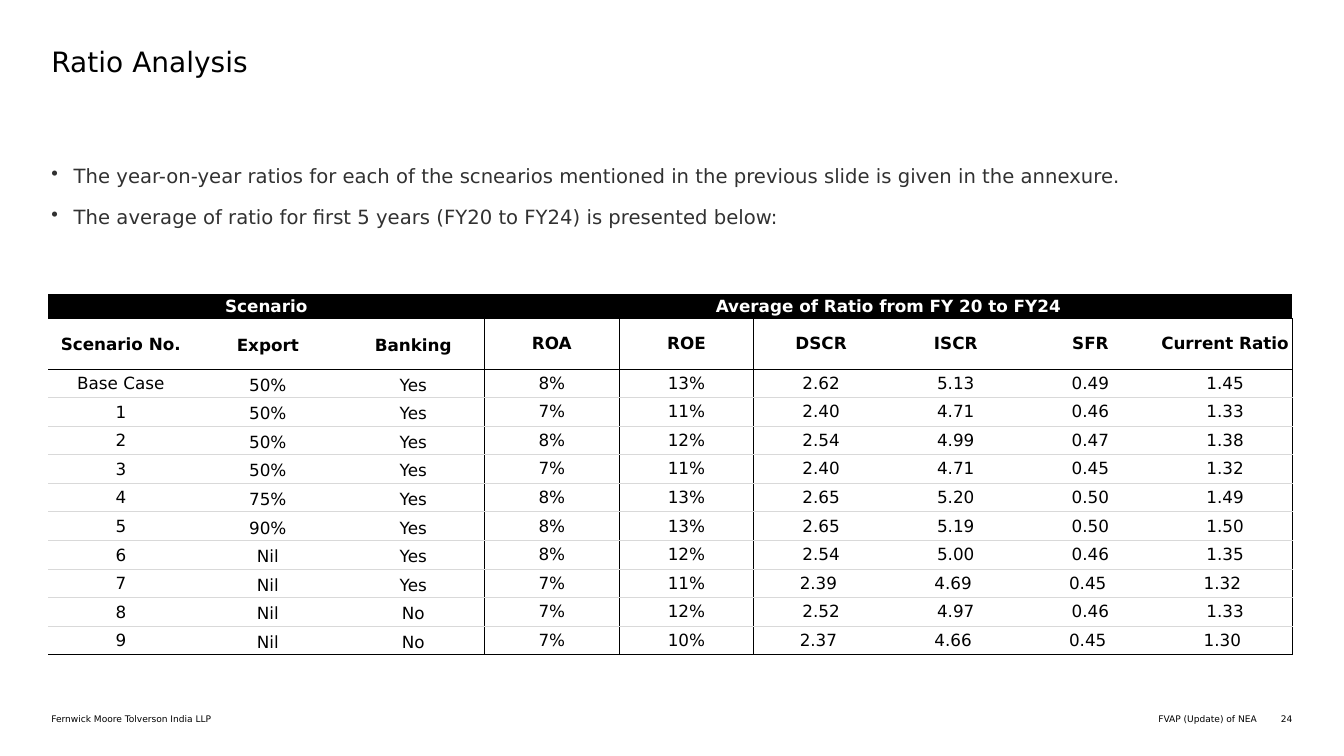
from dataclasses import dataclass

from lxml.etree import SubElement
from pptx import Presentation
from pptx.dml.color import RGBColor
from pptx.enum.text import MSO_ANCHOR, PP_ALIGN
from pptx.oxml.ns import qn
from pptx.util import Pt


@dataclass(frozen=True)
class Theme:
    font: str = "DejaVu Sans"
    black: str = "000000"
    white: str = "FFFFFF"
    body_grey: str = "313131"
    rule_grey: str = "D9D9D9"
    title_size: float = 20
    body_size: float = 14
    table_size: float = 12
    footer_size: float = 6.5


THEME = Theme()
NO_STYLE_TABLE = "{2D5ABB26-0587-4C30-8999-92F81FD0307C}"

BULLETS = [
    "The year-on-year ratios for each of the scnearios mentioned in the previous slide is given in the annexure.",
    "The average of ratio for first 5 years (FY20 to FY24) is presented below:",
]
GROUPS = [("Scenario", 0, 2), ("Average of Ratio from FY 20 to FY24", 3, 8)]
RATIO_ROWS = [
    ["Scenario No.", "Export", "Banking", "ROA", "ROE", "DSCR", "ISCR", "SFR", "Current Ratio"],
    ["Base Case", "50%", "Yes", "8%", "13%", "2.62", "5.13", "0.49", "1.45"],
    ["1", "50%", "Yes", "7%", "11%", "2.40", "4.71", "0.46", "1.33"],
    ["2", "50%", "Yes", "8%", "12%", "2.54", "4.99", "0.47", "1.38"],
    ["3", "50%", "Yes", "7%", "11%", "2.40", "4.71", "0.45", "1.32"],
    ["4", "75%", "Yes", "8%", "13%", "2.65", "5.20", "0.50", "1.49"],
    ["5", "90%", "Yes", "8%", "13%", "2.65", "5.19", "0.50", "1.50"],
    ["6", "Nil", "Yes", "8%", "12%", "2.54", "5.00", "0.46", "1.35"],
    ["7", "Nil", "Yes", "7%", "11%", "2.39 ", "4.69 ", "0.45 ", "1.32 "],
    ["8", "Nil", "No", "7%", "12%", "2.52", "4.97", "0.46", "1.33"],
    ["9", "Nil", "No", "7%", "10%", "2.37 ", "4.66 ", "0.45 ", "1.30 "],
]
COLUMN_WIDTHS = [103.9] * 3 + [96.2] * 6
ROW_HEIGHTS = [17.6, 36] + [20.4] * 10
LAST_ROW = len(ROW_HEIGHTS) - 1
LAST_COLUMN = len(COLUMN_WIDTHS) - 1
RULED_COLUMNS = (2, 3, LAST_COLUMN)  # columns with a vertical rule on their right


def set_attributes(target, values):
    for name, value in values.items():
        setattr(target, name, value)


def style_font(font, size, color, bold=False):
    set_attributes(font, {"name": THEME.font, "size": Pt(size), "bold": bold})
    font.color.rgb = RGBColor.from_string(color)


def set_margins(frame, left=0, top=0, right=0, bottom=0):
    set_attributes(frame, {
        "margin_left": Pt(left), "margin_top": Pt(top),
        "margin_right": Pt(right), "margin_bottom": Pt(bottom),
    })


def add_bullet(para):
    properties = para._p.get_or_add_pPr()
    properties.set("marL", str(Pt(16)))
    properties.set("indent", str(-Pt(16)))
    SubElement(properties, qn("a:buChar"), char="•")
    para.space_after = Pt(12)


def add_text(slide, place, lines, size, color=THEME.black, align=PP_ALIGN.LEFT, bulleted=False):
    box = slide.shapes.add_textbox(*map(Pt, place))
    frame = box.text_frame
    frame.word_wrap = True
    set_margins(frame)
    frame.text = "\n".join(lines)
    for para in frame.paragraphs:
        if bulleted:
            add_bullet(para)
        para.alignment = align
        for span in para.runs:
            style_font(span.font, size, color)


def row_rule(row):
    """Colour and width of the rule under a row."""
    if row < 2:
        return THEME.black, 1
    return (THEME.black if row == LAST_ROW else THEME.rule_grey), 0.75


def cell_borders(row, column):
    borders = {}
    if row > 0 and column - 1 in RULED_COLUMNS:
        borders["L"] = (THEME.black, 1)
    if column in RULED_COLUMNS and (row > 0 or column == LAST_COLUMN):
        borders["R"] = (THEME.black, 1)
    if row > 0:
        borders["T"] = row_rule(row - 1)
    borders["B"] = row_rule(row)
    return borders


def draw_borders(cell, row, column):
    properties = cell._tc.get_or_add_tcPr()
    for side, (color, width) in cell_borders(row, column).items():
        line = SubElement(properties, qn(f"a:ln{side}"), w=str(Pt(width)))
        SubElement(SubElement(line, qn("a:solidFill")), qn("a:srgbClr"), val=color)
        dash = "sysDash" if row == 0 and side == "R" else "solid"
        SubElement(line, qn("a:prstDash"), val=dash)


def format_cell(cell, row, column):
    draw_borders(cell, row, column)
    cell.fill.solid()
    cell.fill.fore_color.rgb = RGBColor.from_string(THEME.white if row else THEME.black)
    cell.vertical_anchor = MSO_ANCHOR.MIDDLE
    if row == 0 or column == 0:
        set_margins(cell, 0.72, 0.72, 0.72)
    elif column < 3:
        set_margins(cell, 2.88, 2.88, 0.72)
    else:
        set_margins(cell)
    para = cell.text_frame.paragraphs[0]
    para.alignment = PP_ALIGN.CENTER
    style_font(para.font, THEME.table_size, THEME.black if row else THEME.white, row < 2)
    for span in para.runs:
        style_font(span.font, THEME.table_size, THEME.black if row else THEME.white, row < 2)


def add_ratio_table(slide):
    frame = slide.shapes.add_table(
        len(ROW_HEIGHTS), len(COLUMN_WIDTHS), Pt(34.4), Pt(210.2),
        Pt(sum(COLUMN_WIDTHS)), Pt(sum(ROW_HEIGHTS)))
    table = frame.table
    set_attributes(table, {"first_row": False, "horz_banding": False})
    table._tbl.tblPr.find(qn("a:tableStyleId")).text = NO_STYLE_TABLE
    for column, width in zip(table.columns, COLUMN_WIDTHS):
        column.width = Pt(width)
    for row, height in zip(table.rows, ROW_HEIGHTS):
        row.height = Pt(height)
    for label, first, last in GROUPS:
        table.cell(0, first).merge(table.cell(0, last))
        table.cell(0, first).text = label
    for row, values in enumerate(RATIO_ROWS, start=1):
        for column, value in enumerate(values):
            table.cell(row, column).text = value
    for row in range(len(ROW_HEIGHTS)):
        for column in range(len(COLUMN_WIDTHS)):
            format_cell(table.cell(row, column), row, column)


def add_footer(slide):
    for left, width, text, align in [
        (36.7, 422, "Fernwick Moore Tolverson India LLP", PP_ALIGN.LEFT),
        (512.6, 385.2, "FVAP (Update) of NEA", PP_ALIGN.RIGHT),
        (898.6, 24.5, "24", PP_ALIGN.RIGHT),
    ]:
        add_text(slide, (left, 509.8, width, 7.9), [text], THEME.footer_size, align=align)


def main():
    deck = Presentation()
    set_attributes(deck, {"slide_width": Pt(960), "slide_height": Pt(540)})
    slide = deck.slides.add_slide(deck.slide_layouts[6])
    add_footer(slide)
    add_text(slide, (36.7, 31.7, 886.3, 54.7), ["Ratio Analysis"], THEME.title_size)
    add_ratio_table(slide)
    add_text(slide, (36.7, 117.4, 888.5, 88.6), BULLETS, THEME.body_size,
             THEME.body_grey, bulleted=True)
    deck.save("out.pptx")


if __name__ == "__main__":
    main()
